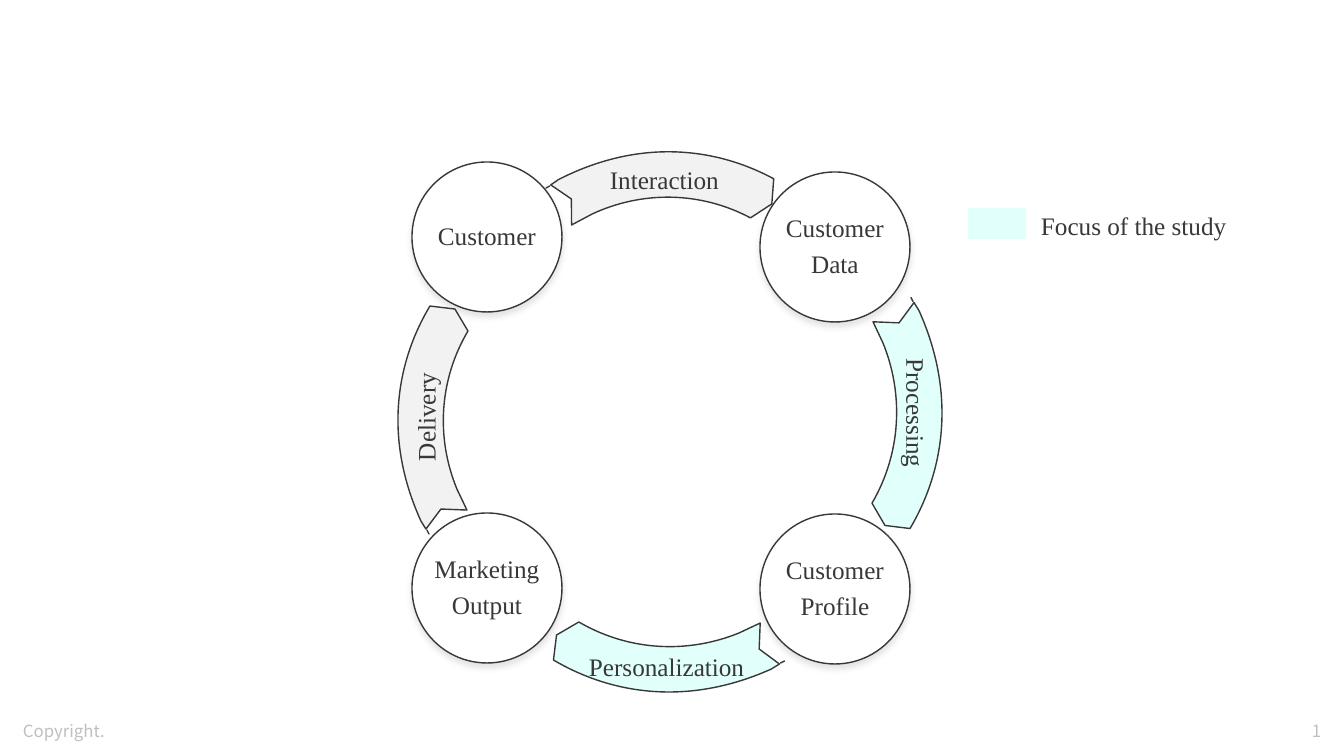
from lxml import etree
from pptx import Presentation
from pptx.dml.color import RGBColor
from pptx.enum.shapes import MSO_SHAPE as Shape
from pptx.enum.text import MSO_ANCHOR as Anchor, PP_ALIGN as Align
from pptx.oxml.ns import qn
from pptx.util import Pt

EMU_PER_PX = 914400 / 100.8
INK, WHITE, GREY, MINT, PALE = "383838", "FFFFFF", "F2F2F2", "E1FFFB", "BFBFBF"
SERIF, SANS = "Times New Roman", "Noto Sans CJK JP"
DIAMETER = 150

# Stages: lines of text, centre
STAGES = [
    (["Customer"], (487, 237)),
    (["Customer", "Data"], (835, 247)),
    (["Marketing", "Output"], (487, 588)),
    (["Customer", "Profile"], (835, 589)),
]
# Arrows: centre, length, rotation, fill
ARROWS = [
    ((433, 420), 228, 270, GREY),
    ((660, 187), 228, 357.4, GREY),
    ((907, 413), 231, 90, MINT),
    ((669, 657), 231, 180, MINT),
]
# Labels: text, left, top, width, height, rotation, alignment, size, font, colour
LABELS = [
    ("Interaction", 600, 153, 135, 44, 0, Align.LEFT, 18, SERIF, INK),
    ("Personalization", 579, 640, 184, 44, 0, Align.LEFT, 18, SERIF, INK),
    ("Delivery", 354, 395, 135, 44, 270, Align.CENTER, 18, SERIF, INK),
    ("Processing", 853, 391, 135, 44, 90, Align.CENTER, 18, SERIF, INK),
    ("Focus of the study", 1031, 199, 218, 44, 0, Align.LEFT, 18, SERIF, INK),
    ("Copyright.", 13, 712, 182, 32, 0, Align.LEFT, 12, SANS, PALE),
    ("1", 1243, 712, 88, 32, 0, Align.RIGHT, 12, SANS, PALE),
]
SIDE_PANELS = [(48, 150, 318, 546), (953, 150, 318, 546)]
LEGEND_BOX = (968, 208, 58, 31)

# Arrow pointing right, around its centre; a segment is a line (one point)
# or a curve (two handles and an end point)
ARROW_LENGTH = 228
TICK = [(-110, -6), (-114, -4)]
BAND_START = (0, -35)
BAND = [
    [(40, -35), (79, -24), (114, -3)],
    [(111, 22)],
    [(89, 35)],
    [(40, 6), (-18, 3), (-69, 24)],
    [(-90, 34)],
    [(-89, 8)],
    [(-109, -7)],
    [(-101, -12)],
    [(-68, -27), (-34, -35), (0, -35)],
]


def px(value):
    return round(value * EMU_PER_PX)


def color(hex_string):
    return RGBColor.from_string(hex_string)


def style(shape, fill, line=None):
    shape.shadow.inherit = False
    shape.fill.solid()
    shape.fill.fore_color.rgb = color(fill)
    if line:
        shape.line.color.rgb = color(line)
        shape.line.width = Pt(1)
    else:
        shape.line.fill.background()


def add_shadow(shape):
    effects = shape._element.spPr.find(qn("a:effectLst"))
    shadow = etree.SubElement(effects, qn("a:outerShdw"), blurRad=str(Pt(4)),
                              dist=str(Pt(3)), dir="5400000", algn="t", rotWithShape="0")
    tint = etree.SubElement(shadow, qn("a:srgbClr"), val=PALE)
    etree.SubElement(tint, qn("a:alpha"), val="40000")


def write(frame, lines, align, size, font, ink, spacing, after):
    frame.text = "\n".join(lines)
    for paragraph in frame.paragraphs:
        paragraph.alignment = align
        paragraph.line_spacing = spacing
        paragraph.space_after = Pt(after)
        for run in paragraph.runs:
            run.font.size = Pt(size)
            run.font.name = font
            run.font.color.rgb = color(ink)


def add_stage(slide, lines, centre):
    left, top = (px(c - DIAMETER / 2) for c in centre)
    shape = slide.shapes.add_shape(Shape.OVAL, left, top, px(DIAMETER), px(DIAMETER))
    style(shape, WHITE, INK)
    add_shadow(shape)
    frame = shape.text_frame
    frame.word_wrap = False
    frame.vertical_anchor = Anchor.MIDDLE
    frame.margin_left = frame.margin_right = frame.margin_top = frame.margin_bottom = px(30)
    write(frame, lines, Align.CENTER, 18, SERIF, INK, 0.9, 6.3)


def bend(shape, segments, skip):
    """Turn the line steps of each three-point segment into one curve."""
    steps = iter(list(shape._element.iter(qn("a:lnTo")))[skip:])
    for segment in segments:
        parts = [next(steps) for _ in segment]
        if len(parts) == 3:
            cubic = etree.Element(qn("a:cubicBezTo"))
            parts[0].addprevious(cubic)
            for part in parts:
                cubic.append(part[0])
                part.getparent().remove(part)


def add_arrow(slide, centre, length, rotation, fill):
    stretch = length / ARROW_LENGTH

    def place(points):
        return [(px(x * stretch), px(y)) for x, y in points]

    tick = place(TICK)
    start = place([BAND_START])[0]
    builder = slide.shapes.build_freeform(*tick[0])
    builder.add_line_segments(tick[1:], close=True)
    builder.move_to(*start)
    builder.add_line_segments(place(sum(BAND, [])), close=True)
    shape = builder.convert_to_shape(px(centre[0]), px(centre[1]))
    bend(shape, BAND, skip=len(TICK) - 1)
    shape.rotation = rotation
    style(shape, fill, INK)


def add_label(slide, text, left, top, width, height, rotation, align, size, font, ink):
    box = slide.shapes.add_textbox(px(left), px(top), px(width), px(height))
    box.rotation = rotation
    box.text_frame.word_wrap = True
    write(box.text_frame, [text], align, size, font, ink, 1.2, 3)


def add_box(slide, bounds, fill, line=None):
    box = slide.shapes.add_shape(Shape.RECTANGLE, *map(px, bounds))
    style(box, fill, line)


def main():
    presentation = Presentation()
    presentation.slide_width, presentation.slide_height = px(1344), px(756)
    slide = presentation.slides.add_slide(presentation.slide_layouts[6])

    # Cycle
    for stage in STAGES:
        add_stage(slide, *stage)
    for arrow in ARROWS:
        add_arrow(slide, *arrow)

    # Side panels and legend
    for panel in SIDE_PANELS:
        add_box(slide, panel, WHITE, WHITE)
    add_box(slide, LEGEND_BOX, MINT)

    # Labels and footer
    for label in LABELS:
        add_label(slide, *label)

    presentation.save("out.pptx")


if __name__ == "__main__":
    main()
